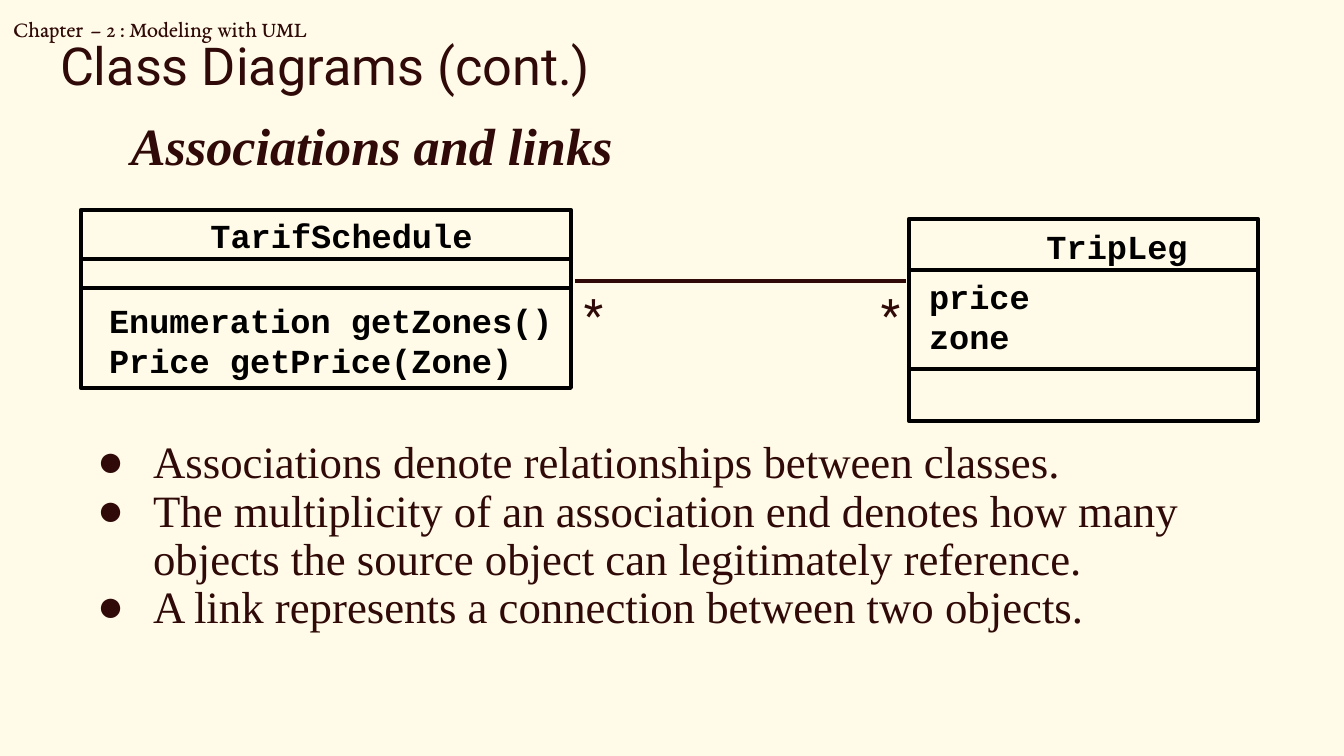
from dataclasses import dataclass

from lxml.etree import SubElement
from pptx import Presentation
from pptx.dml.color import RGBColor
from pptx.enum.shapes import MSO_CONNECTOR, MSO_SHAPE
from pptx.enum.text import MSO_ANCHOR, MSO_AUTO_SIZE, PP_ALIGN
from pptx.oxml.ns import qn
from pptx.util import Emu, Pt

EMU_PER_PIXEL = 914400 / 134.4
COLORS = {"background": "FFFBE8", "text": "300A08", "class": "000000"}
LINE_WIDTH = Pt(2.25)


@dataclass
class Area:
    left: int
    top: int
    width: int
    height: int


@dataclass
class Style:
    font: str
    size: int
    color: str = "text"
    bold: bool = False
    italic: bool = False


@dataclass
class Label:
    area: Area
    lines: list[str]
    align: PP_ALIGN = PP_ALIGN.LEFT


@dataclass
class ClassBox:
    left: int
    top: int
    width: int
    heights: list[int]  # name, attributes, operations
    labels: list[Label]


CHAPTER = Style("EB Garamond", 12)
TITLE = Style("Roboto", 28)
SUBTITLE = Style("Times New Roman", 28, bold=True, italic=True)
BULLET = Style("Times New Roman", 24)
CODE = Style("Courier New", 18, "class", bold=True)
STAR = Style("Roboto", 24)

CLASSES = [
    ClassBox(81, 210, 490, [49, 29, 100], [
        Label(Area(176, 215, 331, 40), ["TarifSchedule"], PP_ALIGN.CENTER),
        Label(Area(109, 300, 460, 81), ["Enumeration getZones()", "Price getPrice(Zone)"]),
    ]),
    ClassBox(909, 219, 349, [51, 99, 52], [
        Label(Area(973, 226, 288, 40), ["TripLeg"], PP_ALIGN.CENTER),
        Label(Area(929, 276, 288, 81), ["price", "zone"]),
    ]),
]
STARS = [Area(571, 280, 44, 67), Area(868, 280, 44, 67)]
BULLETS = [
    "Associations denote relationships between classes.",
    "The multiplicity of an association end denotes how many objects "
    "the source object can legitimately reference.",
    "A link represents a connection between two objects.",
]


def px(value: int) -> Emu:
    return Emu(round(value * EMU_PER_PIXEL))


def color(name: str) -> RGBColor:
    return RGBColor.from_string(COLORS[name])


def place(shape, area: Area) -> None:
    shape.left, shape.top = px(area.left), px(area.top)
    shape.width, shape.height = px(area.width), px(area.height)


def prepare(shape, inset_x: int, inset_y: int, anchor=MSO_ANCHOR.TOP):
    frame = shape.text_frame
    frame.word_wrap = True
    frame.auto_size = MSO_AUTO_SIZE.NONE
    frame.vertical_anchor = anchor
    frame.margin_left = frame.margin_right = px(inset_x)
    frame.margin_top = frame.margin_bottom = px(inset_y)
    return frame


def add_span(para, text: str, style: Style) -> None:
    span = para.add_run()
    span.text = text
    span.font.name = style.font
    span.font.size = Pt(style.size)
    span.font.bold = style.bold
    span.font.italic = style.italic
    span.font.color.rgb = color(style.color)


def write(frame, lines: list[str], style: Style, align=PP_ALIGN.LEFT, spacing: float = 1.0) -> None:
    for index, line in enumerate(lines):
        para = frame.paragraphs[0] if index == 0 else frame.add_paragraph()
        para.alignment = align
        para.line_spacing = spacing
        para.space_before = Pt(0)
        add_span(para, line, style)


def add_text_box(page, area: Area, inset_x: int = 0, inset_y: int = 0, anchor=MSO_ANCHOR.TOP):
    box = page.shapes.add_textbox(0, 0, 0, 0)
    place(box, area)
    return prepare(box, inset_x, inset_y, anchor)


def add_bullet(para) -> None:
    properties = para._p.get_or_add_pPr()
    properties.set("marL", str(px(67)))
    properties.set("indent", str(px(-56)))
    bullet_color = SubElement(properties, qn("a:buClr"))
    SubElement(bullet_color, qn("a:srgbClr"), val=COLORS["text"])
    SubElement(properties, qn("a:buChar"), char="●")


def draw_class(page, box: ClassBox) -> None:
    top = box.top
    for height in box.heights:
        compartment = page.shapes.add_shape(
            MSO_SHAPE.RECTANGLE, px(box.left), px(top), px(box.width), px(height))
        compartment.shadow.inherit = False
        compartment.fill.background()
        compartment.line.color.rgb = color("class")
        compartment.line.width = LINE_WIDTH
        top += height
    for label in box.labels:
        write(add_text_box(page, label.area), label.lines, CODE, label.align)


def draw_association(page, start: int, end: int, height: int) -> None:
    line = page.shapes.add_connector(
        MSO_CONNECTOR.STRAIGHT, px(start), px(height), px(end), px(height))
    line.line.color.rgb = color("text")
    line.line.width = LINE_WIDTH
    SubElement(line._element.spPr, qn("a:effectLst"))


def main() -> None:
    deck = Presentation()
    deck.slide_width, deck.slide_height = px(1344), px(756)
    page = deck.slides.add_slide(deck.slide_layouts[1])
    page.background.fill.solid()
    page.background.fill.fore_color.rgb = color("background")

    # Headings
    title, body = page.placeholders
    place(title, Area(47, 20, 1133, 87))
    write(prepare(title, 13, 13), ["Class Diagrams (cont.)"], TITLE)
    subtitle = add_text_box(page, Area(118, 113, 1199, 78), 13, 7)
    write(subtitle, ["Associations and links"], SUBTITLE, spacing=0.9)
    chapter = add_text_box(page, Area(0, -3, 896, 40), 13, 7).paragraphs[0]
    add_span(chapter, "Chapter", CHAPTER)
    add_span(chapter, " ", Style("EB Garamond", 18))
    add_span(chapter, "– 2 : Modeling with UML", CHAPTER)

    # Class diagram
    for box in CLASSES:
        draw_class(page, box)
    draw_association(page, 575, 906, 281)
    for area in STARS:
        write(add_text_box(page, area, 13, 7, MSO_ANCHOR.MIDDLE), ["*"], STAR, PP_ALIGN.CENTER)

    # Explanation
    place(body, Area(73, 433, 1214, 257))
    frame = prepare(body, 13, 7)
    write(frame, BULLETS, BULLET, spacing=0.9)
    for para in frame.paragraphs:
        add_bullet(para)

    deck.save("out.pptx")


if __name__ == "__main__":
    main()
